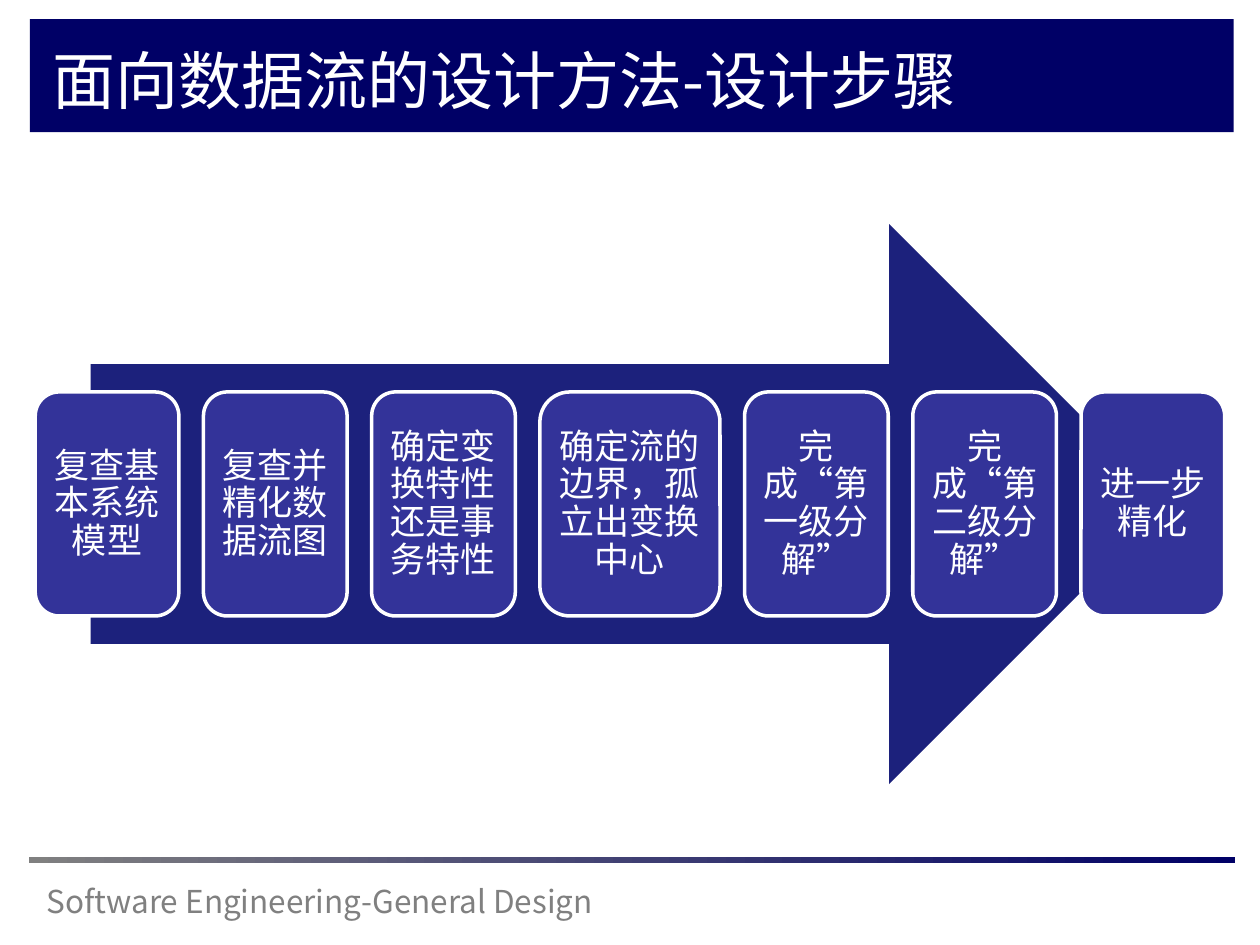
"""Build the data-flow design steps slide."""
from typing import NamedTuple

from lxml import etree
from pptx import Presentation
from pptx.dml.color import RGBColor
from pptx.enum import shapes, text
from pptx.oxml import ns
from pptx.util import Pt

COLORS = {"navy": "000066", "arrow": "1C217C", "step": "333399",
          "white": "FFFFFF", "gray": "808080"}
FONT = "Noto Sans CJK SC"
GAP, STEP_LEFT, STEP_TOP, STEP_HEIGHT = 14.04, 20.16, 224, 128
STEP_FRAME = {"word_wrap": True, "margin_left": Pt(6), "margin_right": Pt(6),
              "margin_top": Pt(6), "margin_bottom": Pt(6)}


class Box(NamedTuple):
    left: float
    top: float
    width: float
    height: float


class Step(NamedTuple):
    label: str
    width: float = 82.08


STEPS = [
    Step("复查基本系统模型"),
    Step("复查并精化数据流图"),
    Step("确定变换特性还是事务特性"),
    Step("确定流的边界，孤立出变换中心", 102.96),
    Step("完成“第一级分解”"),
    Step("完成“第二级分解”"),
    Step("进一步精化"),
]


def rgb(name: str) -> RGBColor:
    return RGBColor.from_string(COLORS[name])


def apply(target, values: dict) -> None:
    for name, value in values.items():
        setattr(target, name, value)


def add_shape(s, kind, box: Box, fill: str):
    sp = s.shapes.add_shape(kind, *map(Pt, box))
    sp.shadow.inherit = False
    sp.fill.solid()
    sp.fill.fore_color.rgb = rgb(fill)
    sp.line.fill.background()
    return sp


def write(sp, content: str, size: float, color: str, align, frame: dict):
    tf = sp.text_frame
    apply(tf, {"auto_size": text.MSO_AUTO_SIZE.NONE,
               "vertical_anchor": text.MSO_ANCHOR.MIDDLE, **frame})
    p = tf.paragraphs[0]
    p.alignment = align
    r = p.add_run()
    r.text = content
    apply(r.font, {"size": Pt(size), "name": FONT})
    r.font.color.rgb = rgb(color)
    etree.SubElement(r.font._element, ns.qn("a:ea"), typeface=FONT)
    return p


def add_step(s, step: Step, left: float) -> None:
    box = Box(left, STEP_TOP, step.width, STEP_HEIGHT)
    sp = add_shape(s, shapes.MSO_SHAPE.ROUNDED_RECTANGLE, box, "step")
    sp.line.color.rgb = rgb("white")
    sp.line.width = Pt(2)
    p = write(sp, step.label, 20, "white", text.PP_ALIGN.CENTER, STEP_FRAME)
    p.line_spacing = Pt(21.5)


def add_title(s) -> None:
    bar = add_shape(s, shapes.MSO_SHAPE.RECTANGLE,
                    Box(17, 11, 688, 64.5), "navy")
    s.shapes._spTree.insert(2, bar._element)
    title = s.shapes.title
    apply(title, dict(zip(("left", "top", "width", "height"),
                          map(Pt, Box(23, 18.5, 634.5, 53.5)))))
    write(title, "面向数据流的设计方法-设计步骤", 36, "white",
          text.PP_ALIGN.LEFT, {"word_wrap": True})


def add_footer(s) -> None:
    rule = add_shape(s, shapes.MSO_SHAPE.RECTANGLE,
                     Box(16.5, 489.5, 689, 3.6), "gray")
    rule.fill.gradient()
    rule.fill.gradient_angle = 0
    for stop, color in zip(rule.fill.gradient_stops, ("gray", "navy")):
        stop.color.rgb = rgb(color)
    label = s.shapes.add_textbox(*map(Pt, Box(19.5, 500.5, 372, 29)))
    write(label, "Software Engineering-General Design", 18, "gray",
          text.PP_ALIGN.LEFT, {"word_wrap": True})


def main() -> None:
    prs = Presentation()
    prs.slide_width, prs.slide_height = Pt(720), Pt(540)
    s = prs.slides.add_slide(prs.slide_layouts[5])
    add_title(s)
    add_footer(s)
    add_shape(s, shapes.MSO_SHAPE.RIGHT_ARROW,
              Box(51.8, 128, 616.3, 320), "arrow")
    left = STEP_LEFT
    for step in STEPS:
        add_step(s, step, left)
        left += step.width + GAP
    prs.save("out.pptx")


if __name__ == "__main__":
    main()
